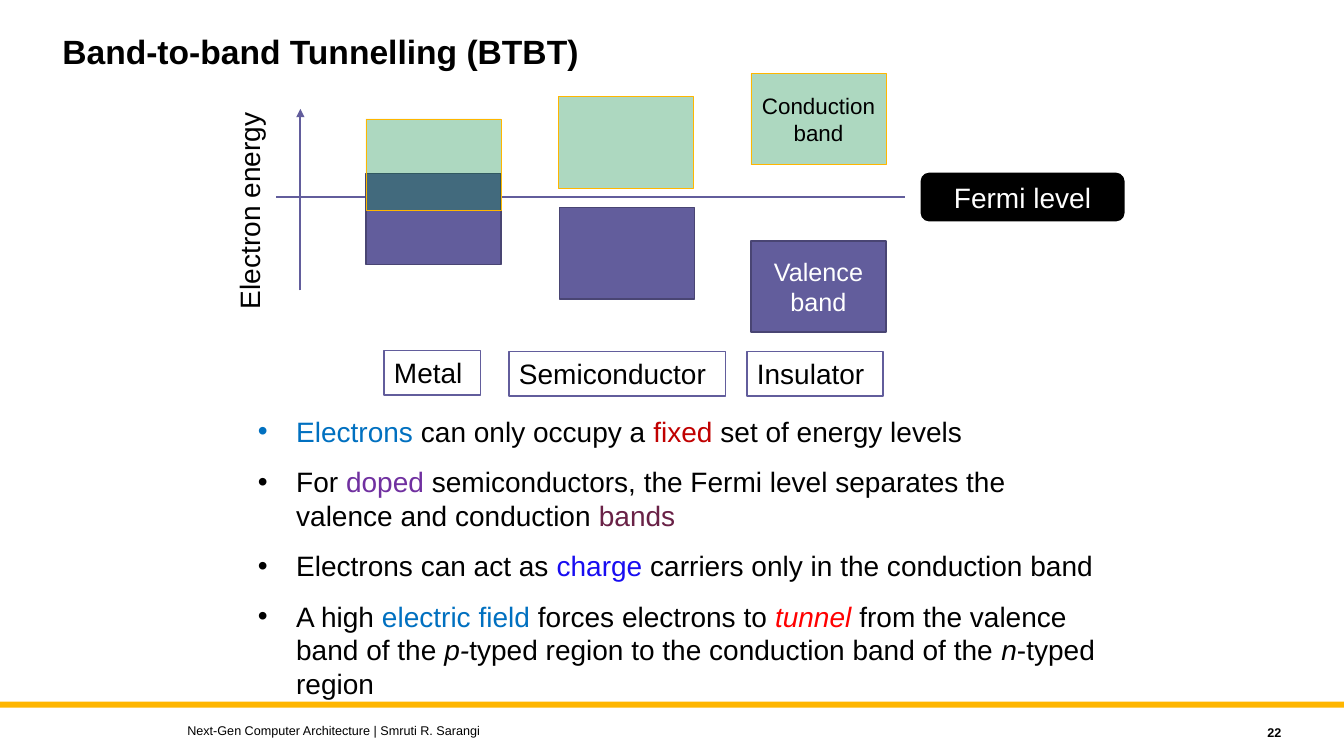
from dataclasses import dataclass
from typing import Any

from lxml import etree
from pptx import Presentation
from pptx import util as u
from pptx.dml.color import RGBColor
from pptx.enum import shapes, text
from pptx.oxml.ns import qn

WIDTH, HEIGHT = u.Inches(13.33), u.Inches(7.5)
COLUMNS, ROWS = 40, 30
BLACK, WHITE, GOLD, VIOLET, BLUE = "000000", "FFFFFF", "FFB600", "625D9C", "0070C0"


def colour(value):
    """Turn a hex string into a colour."""
    return RGBColor.from_string(value)


def assign(target, values):
    """Set each attribute named in a dict."""
    for name, value in values.items():
        setattr(target, name, value)


@dataclass
class Sketch:
    """Draw styled elements on a slide by grid columns and rows."""

    slide: Any
    font: str = "Arial"
    size: float = 20

    def place(self, *cells):
        """Convert alternating columns and rows to lengths."""
        steps = (WIDTH / COLUMNS, HEIGHT / ROWS)
        return [round(cell * steps[i % 2]) for i, cell in enumerate(cells)]

    def add_words(self, shape, paragraphs, size=None, bold=False, align="LEFT", anchor="TOP",
                  bullet=False, **layout):
        """Fill a shape with paragraphs of (text, colour, italic) runs."""
        frame = shape.text_frame
        assign(frame, {"word_wrap": True, "auto_size": text.MSO_AUTO_SIZE.NONE,
                       "vertical_anchor": text.MSO_ANCHOR[anchor]})
        for index, runs in enumerate(paragraphs):
            paragraph = frame.add_paragraph() if index else frame.paragraphs[0]
            assign(paragraph, {"alignment": text.PP_ALIGN[align], **layout})
            if bullet:
                paragraph.space_before = u.Pt(12 if index else 0)
                properties = paragraph._p.get_or_add_pPr()
                indent = u.Inches(0.38)
                properties.set("marL", str(indent))
                properties.set("indent", str(-indent))
                etree.SubElement(properties, qn("a:buFont")).set("typeface", self.font)
                etree.SubElement(properties, qn("a:buChar")).set("char", "•")
            for words, ink, italic in runs:
                run = paragraph.add_run()
                run.text = words
                assign(run.font, {"name": self.font, "size": u.Pt(size or self.size),
                                  "bold": bold, "italic": italic})
                run.font.color.rgb = colour(ink)

    def label(self, cells, paragraphs, rotation=0, **style):
        """Add a text box."""
        shape = self.slide.shapes.add_textbox(*self.place(*cells))
        shape.rotation = rotation
        self.add_words(shape, paragraphs, **style)

    def box(self, cells, fill, line=None, weight=1, alpha=None, kind="RECTANGLE",
            words=None, ink=BLACK, **style):
        """Add a filled shape with optional outline and text."""
        shape = self.slide.shapes.add_shape(shapes.MSO_SHAPE[kind], *self.place(*cells))
        shape.shadow.inherit = False
        shape.fill.solid()
        shape.fill.fore_color.rgb = colour(fill)
        if alpha:
            tone = shape._element.spPr.find(".//" + qn("a:srgbClr"))
            etree.SubElement(tone, qn("a:alpha")).set("val", str(alpha * 1000))
        if line:
            shape.line.color.rgb = colour(line)
            shape.line.width = u.Pt(weight)
        else:
            shape.line.fill.background()
        if words:
            self.add_words(shape, [[(words, ink, False)]], **style)

    def line(self, cells, arrow=False):
        """Add a straight line, with an arrowhead at its end if asked."""
        connector = self.slide.shapes.add_connector(
            shapes.MSO_CONNECTOR.STRAIGHT, *self.place(*cells))
        connector.line.color.rgb = colour(VIOLET)
        connector.line.width = u.Pt(1.5)
        properties = connector._element.spPr
        if arrow:
            outline = properties.find(qn("a:ln"))
            etree.SubElement(outline, qn("a:tailEnd")).set("type", "triangle")
        etree.SubElement(properties, qn("a:effectLst"))


def plain(words, ink=BLACK, italic=False):
    """Describe one run."""
    return words, ink, italic


POINTS = [
    [plain("Electrons", BLUE), plain(" can only occupy a "), plain("fixed", "C00000"),
     plain(" set of energy levels")],
    [plain("For "), plain("doped", "7030A0"),
     plain(" semiconductors, the Fermi level separates the valence and conduction "),
     plain("bands", "692146")],
    [plain("Electrons can act as "), plain("charge", "180DF1"),
     plain(" carriers only in the conduction band")],
    [plain("A high "), plain("electric field ", BLUE), plain("forces electrons to "),
     plain("tunnel ", "FF0000", True), plain("from the valence band of the "),
     plain("p-", italic=True), plain("typed region to the conduction band of the "),
     plain("n", italic=True), plain("-typed region")],
]
BAND_WIDTH, BAND_HEIGHT = 4.02, 3.62
VALENCE = [(10.89, 6.88, None), (16.65, 8.24, None), (22.35, 9.56, "Valence band")]
CONDUCTION = [(10.89, 4.72, None), (16.62, 3.84, None), (22.35, 2.92, "Conduction band")]
MATERIALS = [("Metal", 11.43, 13.92, 2.88), ("Semiconductor", 15.15, 13.96, 6.45),
             ("Insulator", 22.23, 13.96, 4.05)]


def main():
    """Build and save the slide."""
    presentation = Presentation()
    assign(presentation, {"slide_width": WIDTH, "slide_height": HEIGHT})
    sketch = Sketch(presentation.slides.add_slide(presentation.slide_layouts[6]))
    centred = {"align": "CENTER", "anchor": "MIDDLE"}

    sketch.box((0, 27.84, COLUMNS, 0.24), GOLD)
    sketch.label((1.56, 1.2, 30, 3.6), [[plain("Band-to-band Tunnelling (BTBT)")]],
                 size=24, bold=True, line_spacing=0.9)
    sketch.label((7.38, 16.24, 25.53, 11.68), POINTS, bullet=True)
    sketch.label((5.28, 28.48, 24, 1),
                 [[plain("Next-Gen Computer Architecture | Smruti R. Sarangi")]],
                 size=9, anchor="MIDDLE")
    sketch.label((34.23, 28.56, 4.2, 1), [[plain("22")]],
                 size=9, bold=True, align="RIGHT", anchor="MIDDLE")

    sketch.line((8.94, 11.52, 8.94, 4.32), arrow=True)
    sketch.line((8.22, 7.8, 26.94, 7.8))
    sketch.box((27.42, 6.88, 6.03, 1.88), BLACK, BLACK, kind="ROUNDED_RECTANGLE",
               words="Fermi level", ink=WHITE, **centred)
    for left, top, words in VALENCE:
        sketch.box((left, top, BAND_WIDTH, BAND_HEIGHT), VIOLET, "494573",
                   words=words, ink=WHITE, size=18, **centred)
    for left, top, words in CONDUCTION:
        sketch.box((left, top, BAND_WIDTH, BAND_HEIGHT), "00863D", GOLD, 0.5, alpha=32,
                   words=words, size=16, **centred)
    sketch.label((4.17, 7.44, 6.51, 1.76), [[plain("Electron energy")]], rotation=270)
    for words, left, top, width in MATERIALS:
        sketch.box((left, top, width, 1.76), WHITE, VIOLET, words=words)

    presentation.save("out.pptx")


if __name__ == "__main__":
    main()
